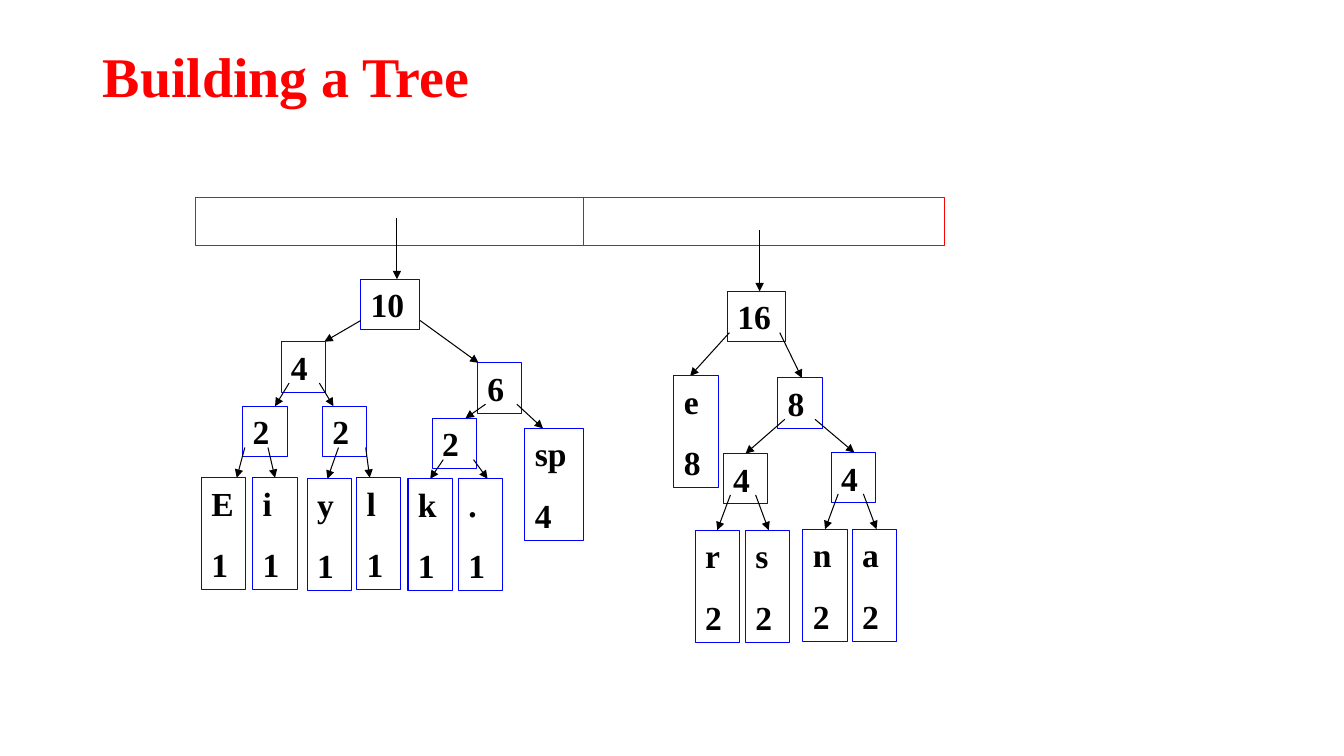
from dataclasses import dataclass

from lxml import etree
from pptx import Presentation
from pptx.dml.color import RGBColor
from pptx.enum.shapes import MSO_CONNECTOR, MSO_SHAPE
from pptx.enum.text import MSO_ANCHOR, PP_ALIGN
from pptx.oxml.ns import qn
from pptx.util import Emu, Pt

RECTANGLE = MSO_SHAPE.RECTANGLE
STRAIGHT = MSO_CONNECTOR.STRAIGHT
MIDDLE, TOP = MSO_ANCHOR.MIDDLE, MSO_ANCHOR.TOP
LEFT = PP_ALIGN.LEFT

EMU_PER_PX = 9144  # 100 px to the inch


@dataclass(frozen=True)
class Theme:
    font: str = "Times New Roman"
    title_size: int = 40
    node_size: int = 24
    accent: RGBColor = RGBColor(255, 0, 0)
    node_line: RGBColor = RGBColor(0, 0, 255)
    ink: RGBColor = RGBColor(0, 0, 0)
    paper: RGBColor = RGBColor(255, 255, 255)
    line_width: float = 0.75
    count_gap: int = 15


THEME = Theme()


@dataclass(frozen=True)
class Node:
    lines: tuple  # symbol and count, or the total alone
    left: int
    top: int
    arrow_from: int  # horizontal start and end of the incoming arrow
    arrow_to: int
    children: tuple = ()

    @property
    def width(self):
        return 58 if max(len(line) for line in self.lines) > 1 else 44

    @property
    def height(self):
        return 50 if len(self.lines) == 1 else 111


TREE_TEN = Node(("10",), 158, 61, 194, 194, (
    Node(("4",), 79, 123, 158, 122, (
        Node(("2",), 41, 187, 87, 73, (
            Node(("E", "1"), 0, 258, 43, 35),
            Node(("i", "1"), 51, 258, 66, 73))),
        Node(("2",), 120, 187, 117, 131, (
            Node(("y", "1"), 105, 259, 136, 125),
            Node(("l", "1"), 154, 258, 163, 167))))),
    Node(("6",), 274, 144, 217, 275, (
        Node(("2",), 229, 199, 282, 262, (
            Node(("k", "1"), 205, 259, 240, 227),
            Node((".", "1"), 255, 259, 270, 284))),
        Node(("sp", "4"), 321, 209, 313, 339)))))

TREE_SIXTEEN = Node(("16",), 53, 61, 85, 85, (
    Node(("e", "8"), 0, 145, 55, 16),
    Node(("8",), 103, 147, 105, 127, (
        Node(("4",), 49, 222, 110, 71, (
            Node(("r", "2"), 21, 298, 56, 43),
            Node(("s", "2"), 71, 298, 81, 94))),
        Node(("4",), 156, 221, 140, 179, (
            Node(("n", "2"), 128, 297, 163, 150),
            Node(("a", "2"), 177, 297, 188, 201)))))))


def px(*lengths):
    return [Emu(length * EMU_PER_PX) for length in lengths]


def style_paragraph(paragraph, size, color):
    paragraph.alignment = LEFT
    font = paragraph.font
    font.name, font.size, font.bold = THEME.font, Pt(size), True
    font.color.rgb = color


def add_line(slide, start, end, color, arrow=False):
    line = slide.shapes.add_connector(STRAIGHT, *px(*start, *end))
    line.line.color.rgb = color
    line.line.width = Pt(THEME.line_width)
    if arrow:
        head = etree.SubElement(line.line._get_or_add_ln(), qn("a:tailEnd"))
        head.set("type", "triangle")
    etree.SubElement(line._element.spPr, qn("a:effectLst"))


def add_box(slide, box, line_color, fill=None):
    shape = slide.shapes.add_shape(RECTANGLE, *px(*box))
    shape.shadow.inherit = False
    shape.line.color.rgb = line_color
    shape.line.width = Pt(THEME.line_width)
    if fill is None:
        shape.fill.background()
    else:
        shape.fill.solid()
        shape.fill.fore_color.rgb = fill
    return shape


def add_title(slide, box, text):
    title = slide.shapes.title
    title.left, title.top, title.width, title.height = px(*box)
    title.text_frame.text = text
    title.text_frame.vertical_anchor = MIDDLE
    paragraph = title.text_frame.paragraphs[0]
    paragraph.line_spacing = 0.9
    style_paragraph(paragraph, THEME.title_size, THEME.accent)


def add_queue(slide, box, divider):
    left, top, _, height = box
    add_box(slide, box, THEME.accent, THEME.paper)
    add_line(slide, (left + divider, top), (left + divider, top + height), THEME.accent)


def add_tree(slide, origin, node, arrow_top=0):
    left, top = origin
    # Incoming arrow
    add_line(slide, (left + node.arrow_from, top + arrow_top),
             (left + node.arrow_to, top + node.top), THEME.ink, arrow=True)
    # Node box with its label
    shape = add_box(slide, (left + node.left, top + node.top, node.width, node.height),
                    THEME.node_line)
    frame = shape.text_frame
    frame.word_wrap = True
    frame.vertical_anchor = TOP
    frame.text = "\n".join(node.lines)
    for index, paragraph in enumerate(frame.paragraphs):
        if index:
            paragraph.space_before = Pt(THEME.count_gap)
        style_paragraph(paragraph, THEME.node_size, THEME.ink)
    # Subtrees, whose arrows start just inside this box
    for child in node.children:
        add_tree(slide, origin, child, node.top + node.height - 9)


def main():
    deck = Presentation()
    deck.slide_width, deck.slide_height = px(1334, 750)
    slide = deck.slides.add_slide(deck.slide_layouts[5])
    add_title(slide, (92, 40, 1150, 77), "Building a Tree")
    add_queue(slide, (194, 196, 744, 48), divider=385)
    add_tree(slide, (200, 216), TREE_TEN)
    add_tree(slide, (669, 228), TREE_SIXTEEN)
    deck.save("out.pptx")


if __name__ == "__main__":
    main()
